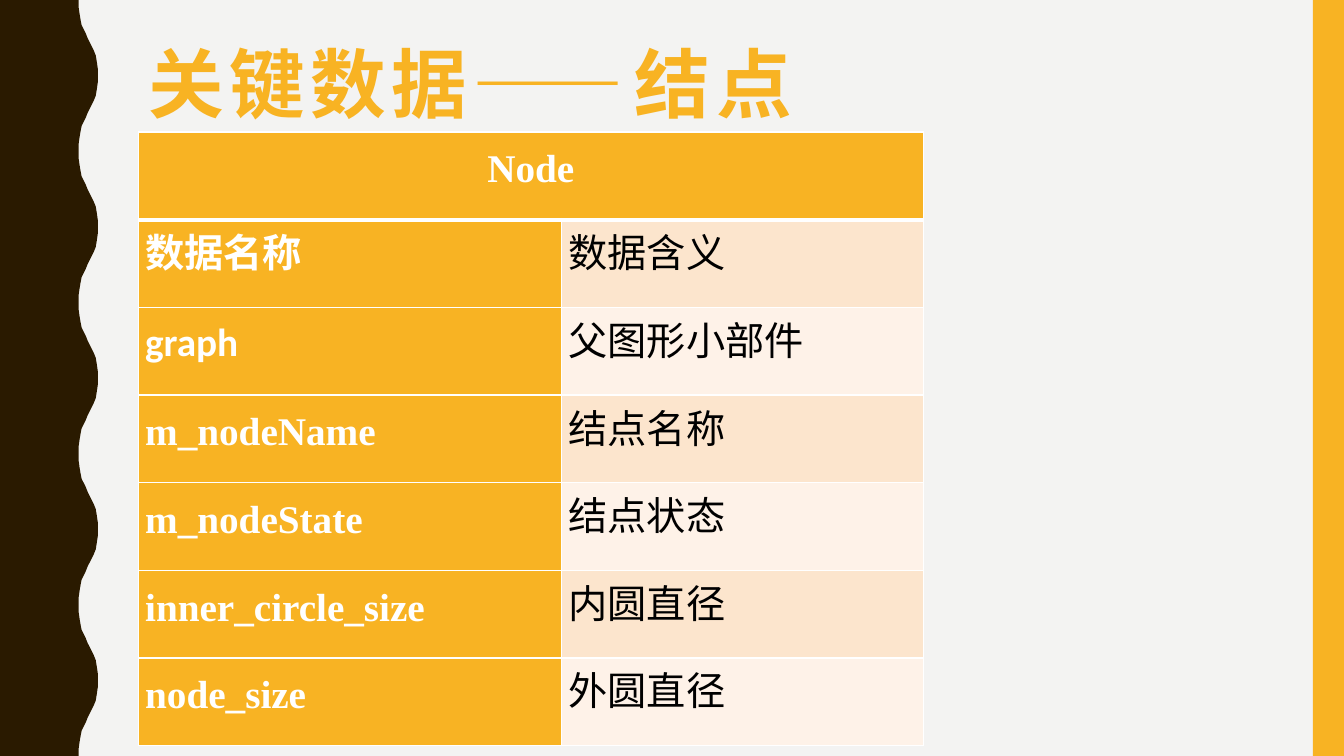
"""Build the slide that lists the key data of a Node in a table."""
from lxml import etree
from pptx import Presentation
from pptx.dml.color import RGBColor
from pptx.enum.shapes import MSO_SHAPE
from pptx.enum.text import MSO_ANCHOR, PP_ALIGN
from pptx.oxml.ns import qn
from pptx.util import Inches, Pt

RECT = MSO_SHAPE.RECTANGLE
MIDDLE, TOP = MSO_ANCHOR.MIDDLE, MSO_ANCHOR.TOP
CENTER, JUSTIFY = PP_ALIGN.CENTER, PP_ALIGN.JUSTIFY

SANS, SERIF = "Calibri", "Times New Roman"
PAPER, BROWN, AMBER = "F3F3F2", "2A1A00", "F8B323"
WHITE, BLACK = "FFFFFF", "000000"
BANDS = ["FCE5CD", "FEF2E8"]

TITLE = "关键数据——结点"
HEADER = "Node"
FIELDS = [
    ("数据名称", "数据含义", SANS),
    ("graph", "父图形小部件", SANS),
    ("m_nodeName", "结点名称", SERIF),
    ("m_nodeState", "结点状态", SERIF),
    ("inner_circle_size", "内圆直径", SERIF),
    ("node_size", "外圆直径", SERIF),
]
COL_WIDTHS = [4.2, 3.59]
ROW_HEIGHT = 0.87

WIDTH, HEIGHT = 13.33, 7.5
WAVE_PERIOD = 1.5
HALF_WAVE = [(0.78, 0), (0.78, 0.07), (0.79, 0.14), (0.8, 0.2), (0.81, 0.25),
             (0.83, 0.29), (0.85, 0.33), (0.87, 0.38), (0.89, 0.42), (0.91, 0.46),
             (0.93, 0.5), (0.95, 0.55), (0.96, 0.61), (0.97, 0.68), (0.97, 0.75)]


def rgb(color):
    return RGBColor.from_string(color)


def paint(sp, color):
    sp.fill.solid()
    sp.fill.fore_color.rgb = rgb(color)
    sp.line.fill.background()
    sp.shadow.inherit = False


def style(p, size, font, color, bold):
    p.font.size = Pt(size)
    p.font.name = font
    p.font.bold = bold
    p.font.color.rgb = rgb(color)


def add_wavy_edge(s):
    wave = HALF_WAVE + [(x, WAVE_PERIOD - y) for x, y in HALF_WAVE[-2::-1]]
    periods = int(HEIGHT / WAVE_PERIOD)
    edge = [(x, y + i * WAVE_PERIOD) for i in range(periods) for x, y in wave]
    points = [(Inches(x), Inches(y)) for x, y in edge + [(0, HEIGHT)]]
    builder = s.shapes.build_freeform(0, 0)
    builder.add_line_segments(points, close=True)
    paint(builder.convert_to_shape(), BROWN)


def add_title(s):
    sp = s.shapes.add_textbox(Inches(1.37), Inches(0.42), Inches(11.13), Inches(1.63))
    tf = sp.text_frame
    tf.word_wrap = True
    tf.vertical_anchor = TOP
    p = tf.paragraphs[0]
    p.line_spacing = 0.9
    r = p.add_run()
    r.text = TITLE
    style(p, 54, SANS, AMBER, True)
    r.font._element.set("spc", "400")


def set_borders(cell, **widths):
    tcPr = cell._tc.get_or_add_tcPr()
    for side in "LRTB":
        ln = etree.SubElement(tcPr, qn("a:ln" + side), w=str(Pt(widths.get(side, 1))))
        fill = etree.SubElement(ln, qn("a:solidFill"))
        etree.SubElement(fill, qn("a:srgbClr"), val=WHITE)


def fill_cell(cell, text, font, color, bold, fill, align=JUSTIFY):
    cell.fill.solid()
    cell.fill.fore_color.rgb = rgb(fill)
    cell.vertical_anchor = MIDDLE
    cell.margin_left = cell.margin_right = Inches(0.07)
    cell.margin_top = cell.margin_bottom = 0
    p = cell.text_frame.paragraphs[0]
    p.text = text
    p.alignment = align
    p.line_spacing = Pt(22)
    style(p, 28, font, color, bold)


def add_node_table(s):
    rows = len(FIELDS) + 1
    table = s.shapes.add_table(rows, 2, Inches(1.37), Inches(1.31),
                               Inches(sum(COL_WIDTHS)), Inches(rows * ROW_HEIGHT)).table
    for column, width in zip(table.columns, COL_WIDTHS):
        column.width = Inches(width)
    for i, row in enumerate(table.rows):
        row.height = Inches(ROW_HEIGHT)
        for cell in row.cells:
            set_borders(cell, T=3 if i == 1 else 1, B=3 if i == 0 else 1)
    header = table.cell(0, 0)
    header.merge(table.cell(0, 1))
    fill_cell(header, HEADER, SERIF, WHITE, True, AMBER, CENTER)
    for i, (name, meaning, font) in enumerate(FIELDS):
        fill_cell(table.cell(i + 1, 0), name, font, WHITE, True, AMBER)
        fill_cell(table.cell(i + 1, 1), meaning, SANS, BLACK, False, BANDS[i % 2])


def main():
    prs = Presentation()
    prs.slide_width, prs.slide_height = Inches(WIDTH), Inches(HEIGHT)
    s = prs.slides.add_slide(prs.slide_layouts[6])
    s.background.fill.solid()
    s.background.fill.fore_color.rgb = rgb(PAPER)
    add_wavy_edge(s)
    paint(s.shapes.add_shape(RECT, Inches(13.02), 0, Inches(0.31), Inches(HEIGHT)), AMBER)
    add_title(s)
    add_node_table(s)
    prs.save("out.pptx")


if __name__ == "__main__":
    main()
